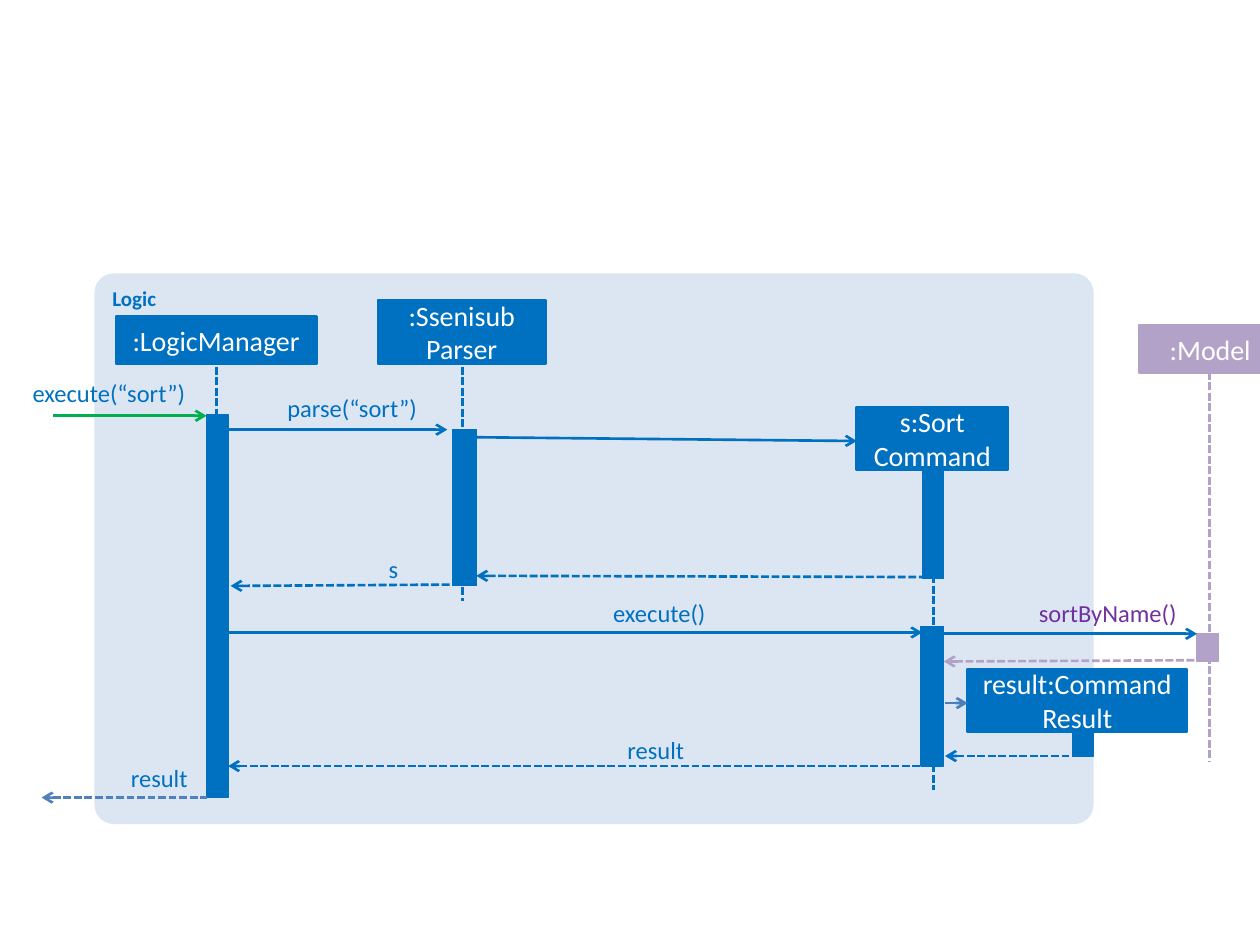
from lxml import etree
from pptx import Presentation
from pptx.dml.color import RGBColor
from pptx.enum import dml, shapes, text
from pptx.oxml import ns
from pptx.util import Inches, Pt

BLUE = RGBColor(0x00, 0x70, 0xC0)
PALE = RGBColor(0xDC, 0xE6, 0xF2)
GREEN = RGBColor(0x00, 0xB0, 0x50)
LILAC = RGBColor(0xB3, 0xA2, 0xC7)
PURPLE = RGBColor(0x70, 0x30, 0xA0)
STEEL = RGBColor(0x4F, 0x81, 0xBD)
STEEL_DARK = RGBColor(0x4B, 0x7E, 0xBC)
WHITE = RGBColor(0xFF, 0xFF, 0xFF)

FRAME = ("Logic", 0.75, 2.17, 7.93, 4.37)
LIFELINES = [
    (1.72, 2.91, 5.75, BLUE),
    (3.67, 2.91, 4.77, BLUE),
    (7.41, 3.73, 6.27, BLUE),
    (9.6, 2.95, 6.05, LILAC),
]
BARS = [
    (1.64, 3.29, 0.17, 3.04, BLUE),
    (3.59, 3.41, 0.19, 1.24, BLUE),
    (7.32, 3.73, 0.17, 0.86, BLUE),
    (7.31, 4.97, 0.18, 1.11, BLUE),
    (9.5, 5.03, 0.17, 0.22, LILAC),
    (8.51, 5.81, 0.17, 0.19, BLUE),
]
OBJECTS = [
    (":LogicManager", 0.92, 2.51, 1.59, 0.38, BLUE),
    (":Ssenisub\nParser", 3, 2.38, 1.33, 0.51, BLUE),
    ("s:Sort\vCommand", 6.8, 3.23, 1.2, 0.5, BLUE),
    (":Model", 9.04, 2.58, 1.13, 0.38, LILAC),
    ("result:Command Result", 7.68, 5.31, 1.74, 0.5, BLUE),
]
CALLS = [
    (0.42, 3.3, 1.64, 3.3, GREEN),
    (1.81, 3.41, 3.55, 3.41, BLUE),
    (3.73, 3.47, 6.8, 3.5, BLUE),
    (1.81, 5.02, 7.32, 5.02, BLUE),
    (7.49, 5.03, 9.5, 5.03, BLUE),
    (7.5, 5.58, 7.68, 5.58, STEEL_DARK),
]
RETURNS = [
    (3.78, 4.57, 7.42, 4.58, BLUE),
    (1.83, 4.65, 3.57, 4.64, BLUE),
    (7.49, 5.25, 9.5, 5.24, LILAC),
    (7.5, 6, 8.56, 6, BLUE),
    (1.81, 6.08, 7.33, 6.08, BLUE),
    (0.33, 6.33, 1.64, 6.33, STEEL),
]
LABELS = [
    ("execute(“sort”)", -0.42, 3, 1.89, BLUE),
    ("parse(“sort”)", 1.75, 3.12, 1.56, BLUE),
    ("s", 2.92, 4.4, 0.24, BLUE),
    ("execute()", 4.66, 4.75, 0.94, BLUE),
    ("sortByName()", 7.58, 4.75, 1.76, PURPLE),
    ("result", 4.75, 5.83, 0.68, BLUE),
    ("result", 0.66, 6.06, 0.83, BLUE),
]
LABEL_HEIGHT = 0.24


def write(sp, words, size, color, align, anchor, bold=False):
    tf = sp.text_frame
    tf.text = words
    tf.word_wrap = True
    tf.vertical_anchor = anchor
    fmt = {"name": "Calibri", "size": Pt(size), "bold": bold}
    for p in tf.paragraphs:
        p.alignment = align
        for r in p.runs:
            for key, value in fmt.items():
                setattr(r.font, key, value)
            r.font.color.rgb = color


def add_box(s, x, y, w, h, fill, line=None, kind=shapes.MSO_SHAPE.RECTANGLE):
    sp = s.shapes.add_shape(kind, *map(Inches, (x, y, w, h)))
    sp.shadow.inherit = False
    sp.fill.solid()
    sp.fill.fore_color.rgb = fill
    if line:
        sp.line.color.rgb = fill
        sp.line.width = Pt(line)
    else:
        sp.line.fill.background()
    return sp


def add_line(s, x1, y1, x2, y2, color, dashed=False, arrow=None):
    c = s.shapes.add_connector(shapes.MSO_CONNECTOR.STRAIGHT,
                               *map(Inches, (x1, y1, x2, y2)))
    c.line.color.rgb = color
    c.line.width = Pt(1.5)
    if dashed:
        c.line.dash_style = dml.MSO_LINE.SQUARE_DOT
    pr = c._element.spPr
    if arrow:
        etree.SubElement(pr.find(ns.qn("a:ln")), ns.qn(arrow), type="arrow")
    etree.SubElement(pr, ns.qn("a:effectLst"))


def add_label(s, words, x, y, w, color):
    sp = s.shapes.add_textbox(*map(Inches, (x, y, w, LABEL_HEIGHT)))
    tf = sp.text_frame
    for side in ("left", "right", "top", "bottom"):
        setattr(tf, f"margin_{side}", 0)
    write(sp, words, 14, color, text.PP_ALIGN.RIGHT, text.MSO_ANCHOR.TOP)
    tf.auto_size = text.MSO_AUTO_SIZE.SHAPE_TO_FIT_TEXT


def main():
    prs = Presentation()
    prs.slide_width, prs.slide_height = Inches(10), Inches(7.5)
    s = prs.slides.add_slide(prs.slide_layouts[6])

    title, *place = FRAME
    frame = add_box(s, *place, PALE, kind=shapes.MSO_SHAPE.ROUNDED_RECTANGLE)
    frame.adjustments[0] = 0.035
    write(frame, title, 12, BLUE, text.PP_ALIGN.LEFT, text.MSO_ANCHOR.TOP, True)

    for x, top, bottom, color in LIFELINES:
        add_line(s, x, top, x, bottom, color, dashed=True)
    for bar in BARS:
        add_box(s, *bar, line=0.75)
    for name, *place in OBJECTS:
        sp = add_box(s, *place, line=1.5)
        write(sp, name, 16, WHITE, text.PP_ALIGN.CENTER, text.MSO_ANCHOR.MIDDLE)
    for call in CALLS:
        add_line(s, *call, arrow="a:tailEnd")
    for reply in RETURNS:
        add_line(s, *reply, dashed=True, arrow="a:headEnd")
    for label in LABELS:
        add_label(s, *label)

    prs.save("out.pptx")


if __name__ == "__main__":
    main()
